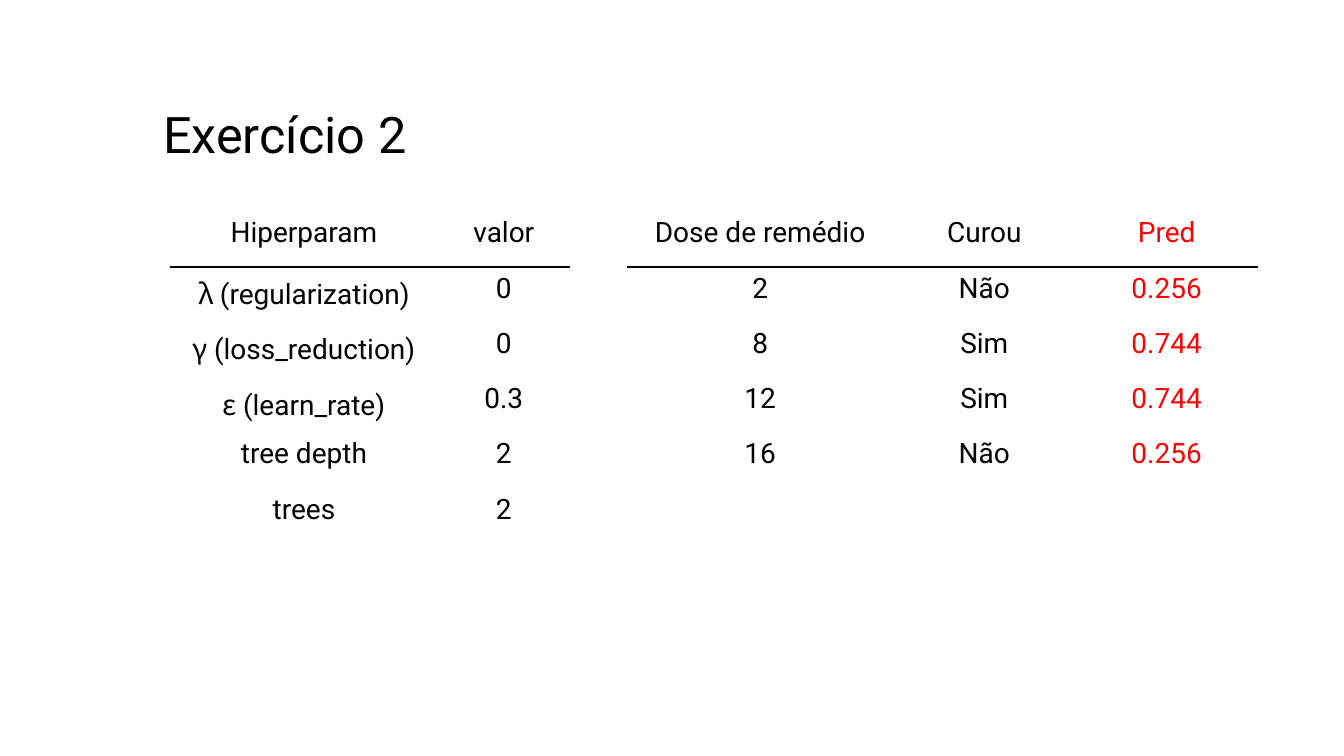
from lxml.etree import SubElement
from pptx import Presentation
from pptx.dml.color import RGBColor as Color
from pptx.enum.text import MSO_AUTO_SIZE as AutoSize, PP_ALIGN as Align
from pptx.oxml.ns import qn
from pptx.util import Pt

COLORS = {"ink": "000000", "prediction": "FF0000"}
TABLE_TOP = 151.2
ROW_HEIGHT = 39.5
GREEK = "λγε"

HYPERPARAMETERS = [
    ("Hiperparam", "valor"),
    ("λ (regularization)", "0"),
    ("γ (loss_reduction)", "0"),
    ("ε (learn_rate)", "0.3"),
    ("tree depth", "2"),
    ("trees", "2"),
]
DOSES = [
    ("Dose de remédio", "Curou", "Pred"),
    ("2", "Não", "0.256"),
    ("8", "Sim", "0.744"),
    ("12", "Sim", "0.744"),
    ("16", "Não", "0.256"),
]


def write(frame, text, size=20, color="ink", align=Align.LEFT):
    para = frame.paragraphs[0]
    para.alignment = align
    parts = [(text, "Roboto")]
    if text[0] in GREEK:
        parts = [(text[:2], "Noto Sans CJK SC"), (text[2:], "Roboto")]
    for part, font in parts:
        span = para.add_run()
        span.text = part
        span.font.name = font
        span.font.size = Pt(size)
        span.font.color.rgb = Color.from_string(COLORS[color])


def set_borders(cell, ruled_side):
    properties = cell._tc.get_or_add_tcPr()
    for side in ("L", "R", "T", "B"):
        line = SubElement(properties, qn(f"a:ln{side}"), w=str(Pt(1)))
        if side == ruled_side:
            fill = SubElement(line, qn("a:solidFill"))
            SubElement(fill, qn("a:srgbClr"), val=COLORS["ink"])
        else:
            SubElement(line, qn("a:noFill"))


class ExerciseSlide:
    def __init__(self, deck):
        self.slide = deck.slides.add_slide(deck.slide_layouts[6])

    def title(self, text, left, top, width, height):
        box = self.slide.shapes.add_textbox(Pt(left), Pt(top), Pt(width), Pt(height))
        box.text_frame.word_wrap = False
        box.text_frame.auto_size = AutoSize.SHAPE_TO_FIT_TEXT
        write(box.text_frame, text, size=36)

    def table(self, rows, left, widths, red_column=None):
        frame = self.slide.shapes.add_table(
            len(rows), len(widths), Pt(left), Pt(TABLE_TOP),
            Pt(sum(widths)), Pt(ROW_HEIGHT * len(rows)))
        table = frame.table
        table.first_row = False
        table.horz_banding = False
        for column, width in zip(table.columns, widths):
            column.width = Pt(width)
        for row_index, row in enumerate(rows):
            table.rows[row_index].height = Pt(ROW_HEIGHT)
            ruled_side = {0: "B", 1: "T"}.get(row_index)
            for column_index, text in enumerate(row):
                cell = table.cell(row_index, column_index)
                set_borders(cell, ruled_side)
                cell.fill.background()
                color = "prediction" if column_index == red_column else "ink"
                write(cell.text_frame, text, color=color, align=Align.CENTER)


def main():
    deck = Presentation()
    deck.slide_width, deck.slide_height = Pt(960), Pt(540)
    exercise = ExerciseSlide(deck)
    exercise.table(DOSES, 448, [190, 130.3, 130.3], red_column=2)
    exercise.table(HYPERPARAMETERS, 121.5, [191.3, 94.2])
    exercise.title("Exercício 2", 109.4, 69.8, 206, 51)
    deck.save("out.pptx")


if __name__ == "__main__":
    main()
